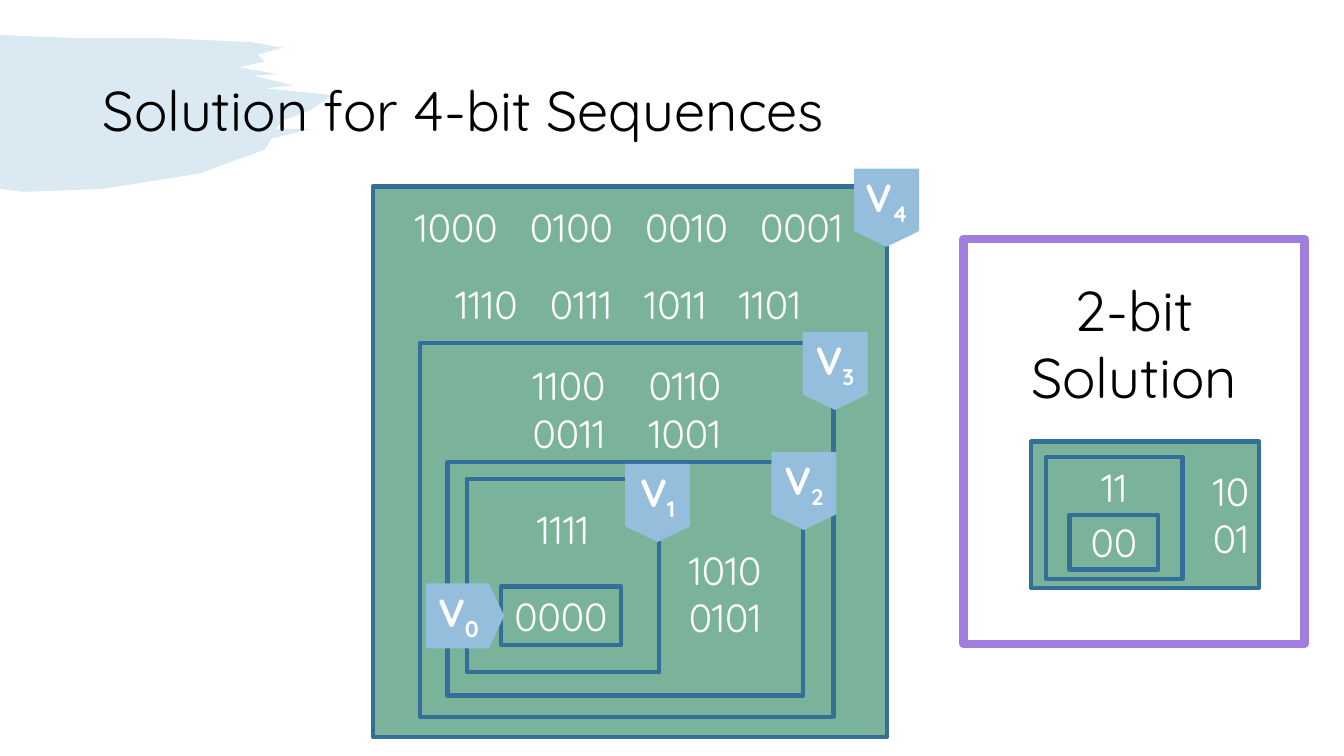
from dataclasses import dataclass
from lxml import etree
from pptx import Presentation, util as u
from pptx.dml import color as col
from pptx.enum import shapes as sh, text as tx
from pptx.oxml import ns

Pt = u.Pt
LEFT, MID, RIGHT = tx.PP_ALIGN.LEFT, tx.PP_ALIGN.CENTER, tx.PP_ALIGN.RIGHT
TOP, CORE = tx.MSO_ANCHOR.TOP, tx.MSO_ANCHOR.MIDDLE
RECT = sh.MSO_SHAPE.RECTANGLE
FLAG = sh.MSO_SHAPE.FLOWCHART_OFFPAGE_CONNECTOR


@dataclass(frozen=True)
class Theme:
    font: str = "Quicksand"
    ink: str = "000000"
    white: str = "FFFFFF"
    green: str = "7BB39A"
    edge: str = "336F99"
    flag: str = "94BEDB"
    frame: str = "A07DDF"
    brush: str = "4D92C3"
    head: int = 40
    code: int = 28


@dataclass(frozen=True)
class Box:
    x: float
    y: float
    w: float
    h: float
    lines: tuple = ()
    align: int = MID
    drop: float | None = None


@dataclass(frozen=True)
class Label:
    x: float
    y: float
    lines: tuple


@dataclass(frozen=True)
class Tag:
    x: float
    y: float
    sub: str


T = Theme()
TAG_W, TAG_H = 45.4, 54.7
CODE_W, LINE_H = 80, 34

FRAME = Box(688.3, 170.6, 243.4, 289.4, ("2-bit Solution",), MID, 26)
BOXES = [
    Box(266.4, 133.2, 367.2, 393.1),
    Box(300.2, 244.8, 295.2, 267.1),
    Box(319.7, 329.8, 254.2, 167),
    Box(333.4, 342, 137.5, 138.2, ("1111",), MID, 19),
    Box(357.8, 419, 85.7, 41.8, ("0000",)),
    Box(736.6, 315.4, 162.7, 104.4, ("10", "01"), RIGHT),
    Box(747.4, 326.2, 97.2, 87.1, ("11",), MID, 5),
    Box(763.9, 367.9, 63.4, 38.9, ("00",)),
]


def row(x: float, y: float, step: float, *codes: tuple) -> list[Label]:
    return [Label(x + i * step, y, c) for i, c in enumerate(codes)]


LABELS = [
    *row(326, 162, 82.2, ("1000",), ("0100",), ("0010",), ("0001",)),
    *row(347.5, 217, 67.5, ("1110",), ("0111",), ("1011",), ("1101",)),
    *row(406.5, 292, 82.8, ("1100", "0011"), ("0110", "1001")),
    Label(518, 424, ("1010", "0101")),
]
TAGS = [
    Tag(447.1, 331.9, "1"),
    Tag(551.5, 323.3, "2"),
    Tag(573.8, 237.6, "3"),
    Tag(610.6, 121, "4"),
]

EDGE = [
    (0, 25), (48, 27), (109, 27), (179, 30), (202, 34), (184, 39), (189, 44),
    (171, 48), (198, 53), (181, 54), (209, 61), (189, 63), (238, 68), (221, 79),
    (202, 86), (197, 92), (222, 92), (194, 99), (189, 107), (142, 124),
    (73, 135), (17, 137), (0, 135),
]


def write(frame, *lines: str, size: int = T.code, color: str = T.white, bold: bool = False,
          align: int = MID, anchor: int = CORE, pad: float = 7.2, drop: float = 3.6,
          sub: str = "", space: float | None = None) -> None:
    frame.word_wrap = True
    frame.auto_size = tx.MSO_AUTO_SIZE.NONE
    frame.vertical_anchor = anchor
    frame.margin_left = frame.margin_right = Pt(pad)
    frame.margin_top, frame.margin_bottom = Pt(drop), Pt(3.6)
    for i, line in enumerate(lines):
        para = frame.add_paragraph() if i else frame.paragraphs[0]
        para.alignment = align
        if space:
            para.line_spacing = space
        for part in filter(None, (line, sub)):
            run = para.add_run()
            run.text = part
            font = run.font
            font.name, font.size, font.bold = T.font, Pt(size), bold
            font.color.rgb = rgb(color)
            if part == sub:
                run._r.get_or_add_rPr().set("baseline", "-25000")


def rgb(code: str) -> col.RGBColor:
    return col.RGBColor.from_string(code)


def shape(slide, kind: int, x: float, y: float, w: float, h: float,
          fill: str | None, edge: str, thick: float):
    item = slide.shapes.add_shape(kind, Pt(x), Pt(y), Pt(w), Pt(h))
    item.shadow.inherit = False
    if fill:
        item.fill.solid()
        item.fill.fore_color.rgb = rgb(fill)
    else:
        item.fill.background()
    item.line.color.rgb = rgb(edge)
    item.line.width = Pt(thick)
    return item


def panel(slide, box: Box, fill: str | None, edge: str, thick: float, **form) -> None:
    item = shape(slide, RECT, box.x, box.y, box.w, box.h, fill, edge, thick)
    if box.lines:
        if box.drop is not None:
            form.update(anchor=TOP, drop=box.drop)
        write(item.text_frame, *box.lines, align=box.align, **form)


def note(slide, x: float, y: float, w: float, h: float, *lines: str, **form) -> None:
    item = slide.shapes.add_textbox(Pt(x), Pt(y), Pt(w), Pt(h))
    write(item.text_frame, *lines, **form)


def flag(slide, x: float, y: float):
    return shape(slide, FLAG, x, y, TAG_W, TAG_H, T.flag, T.flag, 1)


def brush(slide) -> None:
    dots = [(Pt(x), Pt(y)) for x, y in EDGE]
    path = slide.shapes.build_freeform(*dots[0])
    path.add_line_segments(dots[1:], close=True)
    item = path.convert_to_shape()
    item.shadow.inherit = False
    item.fill.solid()
    item.fill.fore_color.rgb = rgb(T.brush)
    item.line.fill.background()
    tone = item.element.spPr.find(".//" + ns.qn("a:srgbClr"))
    etree.SubElement(tone, ns.qn("a:alpha"), val="20000")


def main() -> None:
    deck = Presentation()
    deck.slide_width, deck.slide_height = Pt(960), Pt(540)
    slide = deck.slides.add_slide(deck.slide_layouts[5])
    brush(slide)

    title = slide.shapes.title
    title.left, title.top, title.width, title.height = Pt(66.2), Pt(28.8), Pt(828), Pt(104.4)
    write(title.text_frame, "Solution for 4-bit Sequences", size=T.head, color=T.ink,
          align=LEFT, space=0.9)
    title.element.getparent().append(title.element)

    panel(slide, FRAME, None, T.frame, 6, size=T.head, color=T.ink)
    for box in BOXES:
        panel(slide, box, T.green, T.edge, 3)
    for lab in LABELS:
        high = LINE_H * len(lab.lines) + 8
        note(slide, lab.x - CODE_W / 2, lab.y - high / 2, CODE_W, high, *lab.lines, pad=0)
    for tag in TAGS:
        item = flag(slide, tag.x, tag.y)
        write(item.text_frame, "V", sub=tag.sub, bold=True, pad=0)
    flag(slide, 309.6, 412.6).rotation = 270
    note(slide, 306, 419, 59.8, 41, "V", sub="0", bold=True, align=LEFT)
    deck.save("out.pptx")


if __name__ == "__main__":
    main()
